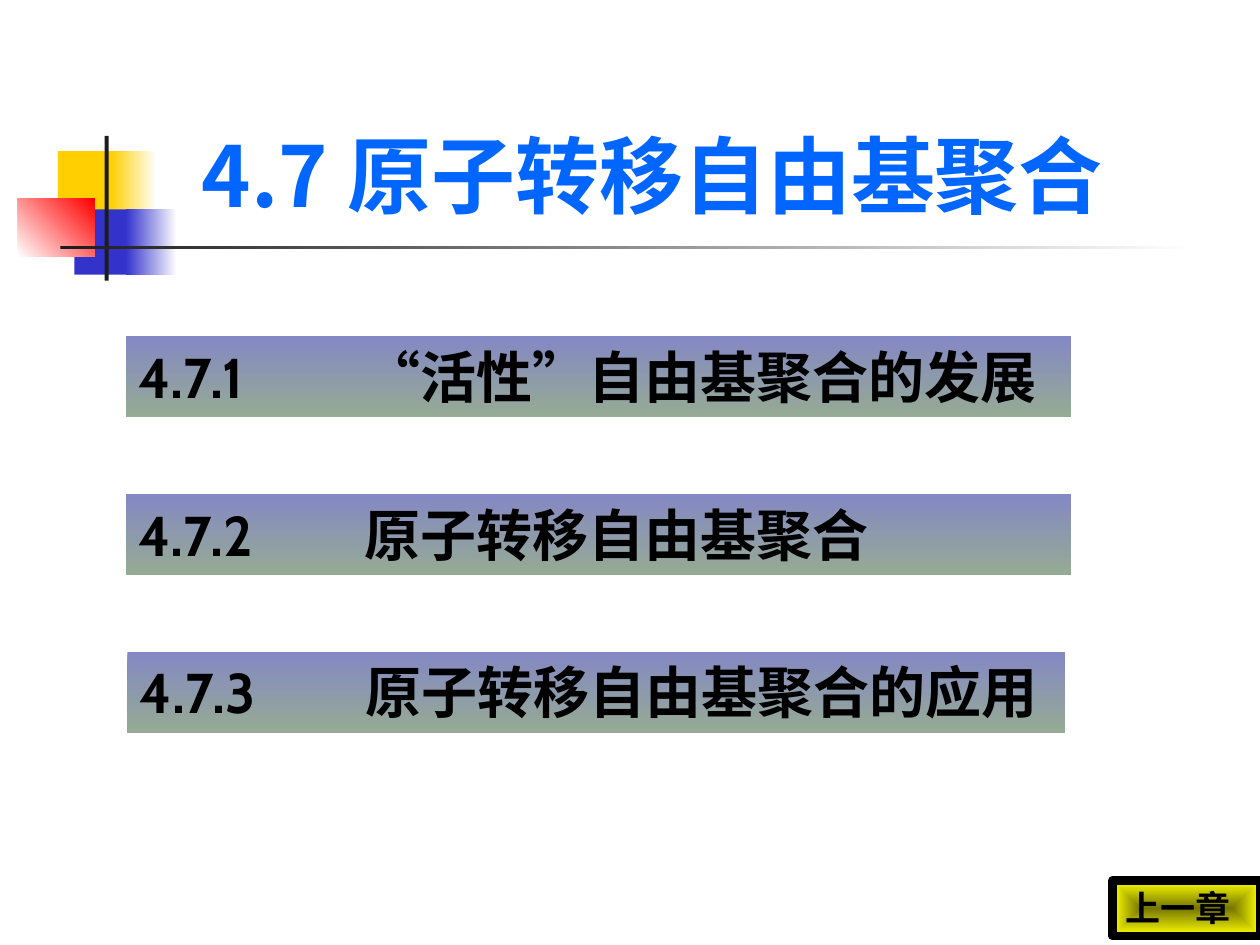
"""Build the section contents slide for chapter 4.7."""
from lxml import etree
from pptx import Presentation
from pptx.dml.color import RGBColor
from pptx.enum import shapes, text
from pptx.oxml import ns
from pptx.util import Cm, Pt

YELLOW = RGBColor(0xFF, 0xCF, 0x01)
NAVY = RGBColor(0x33, 0x33, 0xCC)
RED = RGBColor(0xFF, 0x00, 0x00)
WHITE = RGBColor(0xFF, 0xFF, 0xFF)
CHARCOAL = RGBColor(0x1C, 0x1C, 0x1C)
BLACK = RGBColor(0x00, 0x00, 0x00)
TITLE_BLUE = RGBColor(0x00, 0x66, 0xFF)
ROW_TOP = RGBColor(0x84, 0x88, 0xC4)
ROW_BOTTOM = RGBColor(0x96, 0xAB, 0x94)
OLIVE = RGBColor(0x76, 0x76, 0x00)
BRIGHT = RGBColor(0xFF, 0xFF, 0x00)

HEADING_FONT = "Noto Sans CJK SC"
NUMBER_FONT = "Cabin"
TOPIC_FONT = "Times New Roman"
TOPIC_TAB = Cm(4.55)


class ContentsSlide:
    def __init__(self, deck):
        self.page = deck.slides.add_slide(deck.slide_layouts[5])

    def style(self, para, size, color, name):
        para.alignment = text.PP_ALIGN.LEFT
        font = para.font
        font.size, font.bold, font.name = Pt(size), True, name
        font.color.rgb = color

    def title(self, words, left, top, width, height):
        box = self.page.shapes.title
        box.left, box.top, box.width, box.height = map(Cm, (left, top, width, height))
        frame = box.text_frame
        frame.text = words
        frame.vertical_anchor = text.MSO_ANCHOR.BOTTOM
        self.style(frame.paragraphs[0], 48, TITLE_BLUE, HEADING_FONT)

    def block(self, left, top, width, height, color, end=None, angle=0):
        box = self.page.shapes.add_shape(
            shapes.MSO_SHAPE.RECTANGLE, *map(Cm, (left, top, width, height)))
        box.shadow.inherit = False
        box.line.fill.background()
        if end is None:
            box.fill.solid()
            box.fill.fore_color.rgb = color
        else:
            box.fill.gradient()
            box.fill.gradient_angle = angle
            for stop, shade, place in zip(box.fill.gradient_stops, (color, end), (0, 1)):
                stop.color.rgb, stop.position = shade, place
        return box

    def row(self, number, topic, left, top, width):
        box = self.block(left, top, width, 1.63, ROW_TOP, ROW_BOTTOM, 270)
        frame = box.text_frame
        frame.word_wrap = True
        frame.vertical_anchor = text.MSO_ANCHOR.TOP
        para = frame.paragraphs[0]
        tabs = etree.SubElement(para._p.get_or_add_pPr(), ns.qn("a:tabLst"))
        etree.SubElement(tabs, ns.qn("a:tab"), pos=str(int(TOPIC_TAB)), algn="l")
        for words, name in ((number + "\t", NUMBER_FONT), (topic, TOPIC_FONT)):
            span = para.add_run()
            span.text = words
            span.font.name = name
        self.style(para, 32, BLACK, NUMBER_FONT)

    def button(self, words, left, top, width, height):
        box = self.block(left, top, width, height, OLIVE, BRIGHT)
        linear = next(box._element.iter(ns.qn("a:lin")))
        radial = etree.Element(ns.qn("a:path"), path="rect")
        etree.SubElement(radial, ns.qn("a:fillToRect"),
                         dict.fromkeys("ltrb", "50000"))
        linear.getparent().replace(linear, radial)
        box.line.color.rgb = BLACK
        box.line.width = Pt(5)
        frame = box.text_frame
        frame.word_wrap = True
        frame.vertical_anchor = text.MSO_ANCHOR.TOP
        frame.text = words
        self.style(frame.paragraphs[0], 20, BLACK, NUMBER_FONT)


def main():
    deck = Presentation()
    deck.slide_width, deck.slide_height = Cm(25.4), Cm(19.05)
    slide = ContentsSlide(deck)

    slide.block(1.17, 3.05, 1.22, 1.32, YELLOW)
    slide.block(2.24, 3.05, 0.91, 1.32, YELLOW, WHITE)
    slide.block(1.5, 4.22, 1.17, 1.32, NAVY)
    slide.block(2.54, 4.22, 1.02, 1.32, NAVY, WHITE)
    slide.block(0.36, 4.01, 1.55, 1.17, WHITE, RED, 45)
    slide.block(2.11, 2.74, 0.08, 2.92, CHARCOAL)
    slide.block(1.22, 4.95, 22.86, 0.08, CHARCOAL, WHITE)

    slide.title("4.7 原子转移自由基聚合", 3.81, 0.58, 20.17, 4.06)
    rows = (
        ("4.7.1", "“活性”自由基聚合的发展", 2.54, 19.05),
        ("4.7.2", "原子转移自由基聚合", 2.54, 19.05),
        ("4.7.3", "原子转移自由基聚合的应用", 2.57, 18.9),
    )
    for index, (number, topic, left, width) in enumerate(rows):
        slide.row(number, topic, left, 6.78 + 3.18 * index, width)
    slide.button("上一章", 22.43, 17.75, 2.97, 1.12)

    deck.save("out.pptx")


if __name__ == "__main__":
    main()
